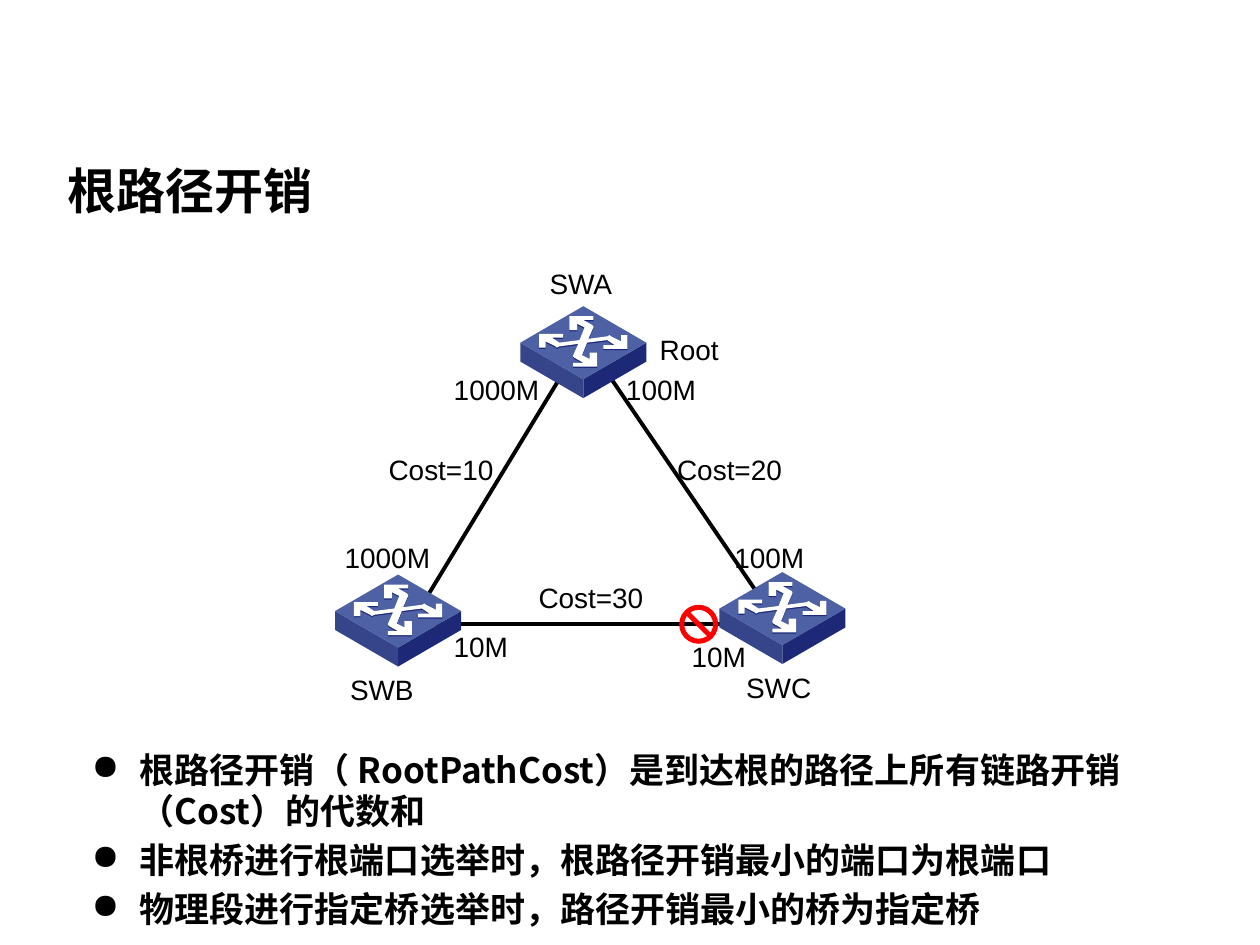
import lxml.etree
import pptx
import pptx.dml.color
import pptx.enum.shapes
import pptx.enum.text
import pptx.oxml.ns
import pptx.util

PX = 9144  # EMU in one px, at 100 px to the inch
ALIGN = pptx.enum.text.PP_ALIGN
ANCHOR = pptx.enum.text.MSO_ANCHOR
qn = pptx.oxml.ns.qn

TITLE_TEXT = {"size": 28, "name": "Noto Sans CJK JP", "bold": True}
BULLET_TEXT = {"size": 20, "name": "Noto Sans CJK SC", "bold": True}
LABEL_TEXT = {"size": 16, "name": "Arial", "bold": False}

BULLETS = [
    "根路径开销（ RootPathCost）是到达根的路径上所有链路开销（Cost）的代数和",
    "非根桥进行根端口选举时，根路径开销最小的端口为根端口",
    "物理段进行指定桥选举时，路径开销最小的桥为指定桥",
]

# Places within the topology box
LINKS = [(105, 280, 215, 99), (113, 295, 357, 295), (254, 99, 372, 272)]
SWITCHES = [(36, 256), (341, 254), (183, 43)]
BLOCKED_PORT = (309, 280, 31)
LABELS = [  # text, left, top, width
    ("SWA", 160, 7, 142), ("SWB", 2, 329, 142), ("SWC", 317, 327, 142),
    ("Root", 246, 59, 142),
    ("1000M", 105, 91, 118), ("100M", 255, 91, 79),
    ("1000M", 26, 224, 103), ("10M", 112, 295, 79),
    ("100M", 341, 224, 79), ("10M", 301, 303, 79),
    ("Cost=10", 49, 154, 142), ("Cost=20", 278, 154, 142),
    ("Cost=30", 168, 256, 142),
]

# Switch icon: three faces, then arrows that are point-symmetric about (50, 28)
FACES = [
    ("1D2977", [(100, 29), (100, 44), (50, 73), (50, 58)]),
    ("36458A", [(50, 58), (50, 73), (0, 44), (0, 29)]),
    ("4D61A4", [(100, 29), (50, 58), (0, 29), (50, 0)]),
]
HALF_ARROWS = [
    (85, 23), (80, 23), (80, 28), (72, 24), (71, 23), (69, 24), (54, 26),
    (58, 17), (58, 16), (57, 15), (50, 11), (58, 11), (58, 8), (39, 8),
    (39, 19), (45, 19), (45, 14), (51, 17), (47, 27), (31, 29), (25, 25),
    (34, 25), (34, 22), (15, 22),
]
ARROWS = HALF_ARROWS + [(100 - x, 56 - y) for x, y in HALF_ARROWS]


def color(hex_value):
    return pptx.dml.color.RGBColor.from_string(hex_value)


def paint(shape, fill):
    shape.shadow.inherit = False
    shape.fill.solid()
    shape.fill.fore_color.rgb = color(fill)
    shape.line.fill.background()


def add_text(slide, box, anchor):
    frame = slide.shapes.add_textbox(*(n * PX for n in box)).text_frame
    frame.word_wrap = True
    frame.vertical_anchor = anchor
    return frame


def write(paragraph, text, style):
    run = paragraph.add_run()
    run.text = text
    for key, value in style.items():
        setattr(run.font, key, pptx.util.Pt(value) if key == "size" else value)
    run.font.color.rgb = color("000000")
    east_asian = lxml.etree.SubElement(run.font._element, qn("a:ea"))
    east_asian.set("typeface", style["name"])


def add_title(slide, box):
    frame = add_text(slide, box, ANCHOR.MIDDLE)
    write(frame.paragraphs[0], "根路径开销", TITLE_TEXT)


def add_link(slide, ends):
    link = slide.shapes.add_connector(
        pptx.enum.shapes.MSO_CONNECTOR.STRAIGHT, *(n * PX for n in ends))
    link.line.color.rgb = color("000000")
    link.line.width = pptx.util.Pt(2.25)
    lxml.etree.SubElement(link._element.spPr, qn("a:effectLst"))


def add_switch(slide, left, top):
    layers = [(fill, points, 0) for fill, points in FACES]
    layers += [("1D2977", ARROWS, 1), ("FFFFFF", ARROWS, 0)]
    for fill, points, drop in layers:
        outline = slide.shapes.build_freeform(*points[0], scale=PX)
        outline.add_line_segments(points[1:], close=True)
        paint(outline.convert_to_shape(left * PX, (top + drop) * PX), fill)


def add_label(slide, text, left, top, width):
    paragraph = add_text(slide, (left, top, width, 37), ANCHOR.TOP).paragraphs[0]
    paragraph.alignment = ALIGN.CENTER
    write(paragraph, text, LABEL_TEXT)


def add_topology(slide, left, top):
    for x1, y1, x2, y2 in LINKS:
        add_link(slide, (left + x1, top + y1, left + x2, top + y2))
    for x, y in SWITCHES:
        add_switch(slide, left + x, top + y)
    # Sign on the blocked port
    x, y, size = BLOCKED_PORT
    sign = slide.shapes.add_shape(
        pptx.enum.shapes.MSO_SHAPE.NO_SYMBOL,
        (left + x) * PX, (top + y) * PX, size * PX, size * PX)
    sign.adjustments[0] = 0.13
    paint(sign, "FF0000")
    for text, x, y, width in LABELS:
        add_label(slide, text, left + x, top + y, width)


def add_bullets(slide, box):
    frame = add_text(slide, box, ANCHOR.TOP)
    for index, text in enumerate(BULLETS):
        paragraph = frame.add_paragraph() if index else frame.paragraphs[0]
        paragraph.line_spacing = pptx.util.Pt(23.4)
        paragraph.space_before = pptx.util.Pt(4.6 if index else 0)
        properties = paragraph._p.get_or_add_pPr()
        properties.set("marL", str(38 * PX))
        properties.set("indent", str(-38 * PX))
        lxml.etree.SubElement(properties, qn("a:buChar")).set("char", "●")
        write(paragraph, text, BULLET_TEXT)


def main():
    deck = pptx.Presentation()
    deck.slide_width, deck.slide_height = 1000 * PX, 750 * PX
    slide = deck.slides.add_slide(deck.slide_layouts[6])
    add_title(slide, (44, 115, 861, 71))
    add_topology(slide, 230, 200)
    add_bullets(slide, (63, 590, 843, 143))
    deck.save("out.pptx")


if __name__ == "__main__":
    main()
